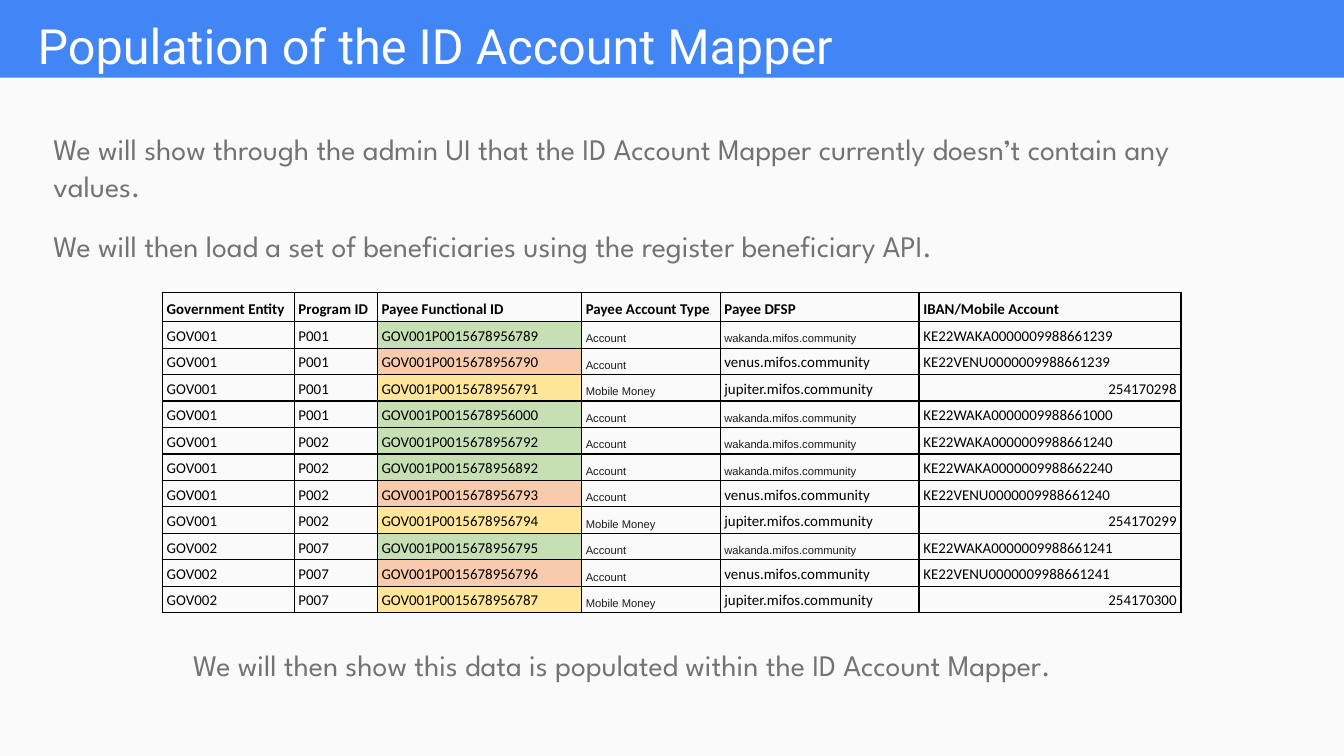
from lxml.etree import SubElement
from pptx import Presentation
from pptx.dml.color import RGBColor
from pptx.enum.shapes import MSO_SHAPE
from pptx.enum.text import MSO_ANCHOR, PP_ALIGN
from pptx.oxml.ns import qn
from pptx.util import Cm, Pt

HUES = {
    "blue": "4285F4", "panel": "FAFAFA", "white": "FFFFFF", "grey": "737373",
    "black": "000000", "ink": "1D1C1D",
    "green": "C6E0B4", "peach": "F8CBAD", "gold": "FFE699",
}
# Payee bank: (fill of the ID cell, account type)
BANKS = {
    "wakanda": ("green", "Account"),
    "venus": ("peach", "Account"),
    "jupiter": ("gold", "Mobile Money"),
}
HEADS = ["Government Entity", "Program ID", "Payee Functional ID",
         "Payee Account Type", "Payee DFSP", "IBAN/Mobile Account"]
WIDTHS = [2.49, 1.57, 3.86, 2.62, 3.76, 4.95]
# Entity, program, functional ID, bank, account
PAYEES = [
    ("GOV001", "P001", "GOV001P0015678956789", "wakanda", "KE22WAKA0000009988661239"),
    ("GOV001", "P001", "GOV001P0015678956790", "venus", "KE22VENU0000009988661239"),
    ("GOV001", "P001", "GOV001P0015678956791", "jupiter", "254170298"),
    ("GOV001", "P001", "GOV001P0015678956000", "wakanda", "KE22WAKA0000009988661000"),
    ("GOV001", "P002", "GOV001P0015678956792", "wakanda", "KE22WAKA0000009988661240"),
    ("GOV001", "P002", "GOV001P0015678956892", "wakanda", "KE22WAKA0000009988662240"),
    ("GOV001", "P002", "GOV001P0015678956793", "venus", "KE22VENU0000009988661240"),
    ("GOV001", "P002", "GOV001P0015678956794", "jupiter", "254170299"),
    ("GOV002", "P007", "GOV001P0015678956795", "wakanda", "KE22WAKA0000009988661241"),
    ("GOV002", "P007", "GOV001P0015678956796", "venus", "KE22VENU0000009988661241"),
    ("GOV002", "P007", "GOV001P0015678956787", "jupiter", "254170300"),
]


def paint(fill, hue):
    fill.solid()
    fill.fore_color.rgb = RGBColor.from_string(HUES[hue])


def add_run(para, text, size, face, hue, bold=False):
    run = para.add_run()
    run.text = text
    font = run.font
    font.size, font.name, font.bold = Pt(size), face, bold
    font.color.rgb = RGBColor.from_string(HUES[hue])


def add_panel(slide):
    panel = slide.shapes.add_shape(
        MSO_SHAPE.RECTANGLE, 0, Cm(1.47), Cm(25.4), Cm(12.82))
    panel.shadow.inherit = False
    paint(panel.fill, "panel")
    panel.line.fill.background()


def add_text(slide, area, lines, size, face, hue, anchor=MSO_ANCHOR.TOP, space=1.0):
    """Add a text box with one paragraph for each line."""
    frame = slide.shapes.add_textbox(*map(Cm, area)).text_frame
    frame.word_wrap = True
    frame.vertical_anchor = anchor
    frame.margin_left = frame.margin_right = Cm(0.25)
    frame.margin_top = frame.margin_bottom = Cm(0.25)
    for i, line in enumerate(lines):
        para = frame.add_paragraph() if i else frame.paragraphs[0]
        para.line_spacing = space
        if i:
            para.space_before = Pt(12)
        add_run(para, line, size, face, hue)


def add_edges(cell):
    """Draw a thin black border on all four sides."""
    props = cell._tc.get_or_add_tcPr()
    for side in ("lnL", "lnR", "lnT", "lnB"):
        edge = SubElement(props, qn(f"a:{side}"), w=str(Pt(0.75)))
        solid = SubElement(edge, qn("a:solidFill"))
        SubElement(solid, qn("a:srgbClr"), val=HUES["black"])


def fill_cell(cell, text, bold=False, small=False, hue=None):
    add_edges(cell)
    if hue:
        paint(cell.fill, hue)
    else:
        cell.fill.background()
    cell.vertical_anchor = MSO_ANCHOR.BOTTOM
    cell.margin_left = cell.margin_right = Cm(0.08)
    cell.margin_top = cell.margin_bottom = Cm(0.05)
    para = cell.text_frame.paragraphs[0]
    para.line_spacing = 1.15
    if text.isdigit():
        para.alignment = PP_ALIGN.RIGHT
    style = (6, "Arial", "ink") if small else (8, "Calibri", "black")
    add_run(para, text, *style, bold)


def add_payees(slide):
    count = len(PAYEES) + 1
    table = slide.shapes.add_table(
        count, len(HEADS), Cm(3.07), Cm(5.53),
        Cm(sum(WIDTHS)), Cm(0.5 * count)).table
    table.first_row = table.horz_banding = False
    for col, width in zip(table.columns, WIDTHS):
        col.width = Cm(width)
    table.rows[0].height = Cm(0.55)
    for col, head in enumerate(HEADS):
        fill_cell(table.cell(0, col), head, bold=True)
    for row, (entity, program, payee, bank, account) in enumerate(PAYEES, 1):
        hue, kind = BANKS[bank]
        texts = [entity, program, payee, kind, f"{bank}.mifos.community", account]
        for col, text in enumerate(texts):
            small = col == 3 or (col == 4 and bank == "wakanda")
            fill_cell(table.cell(row, col), text, small=small,
                      hue=hue if col == 2 else None)


def main():
    deck = Presentation()
    deck.slide_width, deck.slide_height = Cm(25.4), Cm(14.29)
    slide = deck.slides.add_slide(deck.slide_layouts[6])
    paint(slide.background.fill, "blue")
    add_panel(slide)
    add_text(slide, (0.46, -0.48, 22.83, 2.13),
             ["Population of the ID Account Mapper"],
             26, "Roboto", "white", MSO_ANCHOR.BOTTOM)
    body = (16, "League Spartan", "grey")
    add_text(slide, (0.76, 2.18, 22.83, 3.2), [
        "We will show through the admin UI that the ID Account Mapper "
        "currently doesn’t contain any values.",
        "We will then load a set of beneficiaries using the register beneficiary API.",
    ], *body, space=1.05)
    add_text(slide, (3.4, 11.94, 20.19, 1.3),
             ["We will then show this data is populated within the ID Account Mapper."],
             *body, space=1.05)
    add_payees(slide)
    deck.save("out.pptx")


if __name__ == "__main__":
    main()
